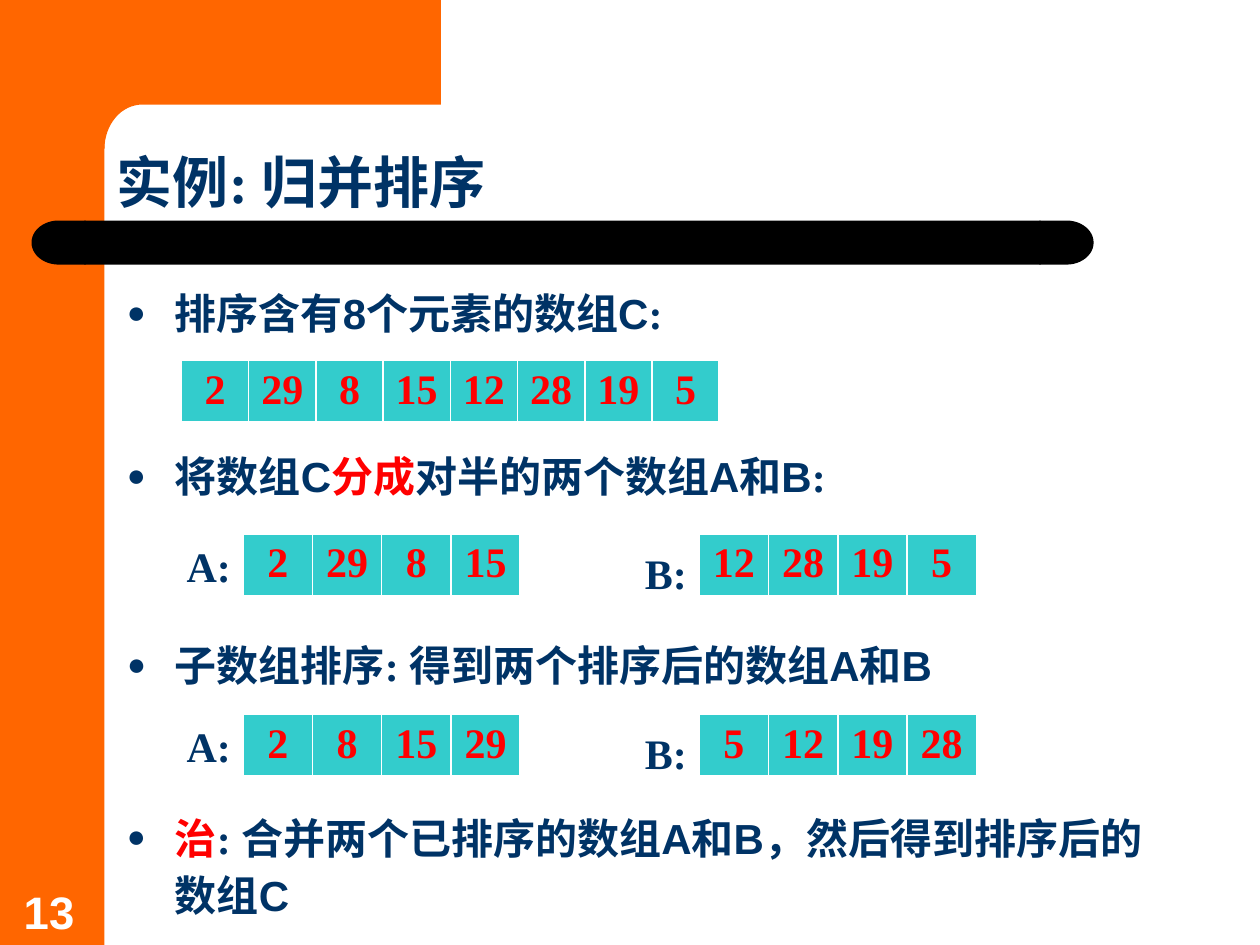
from math import cos, pi, sin

from lxml.etree import SubElement
from pptx import Presentation
from pptx.dml.color import RGBColor
from pptx.enum.shapes import MSO_SHAPE
from pptx.enum.text import MSO_ANCHOR, PP_ALIGN
from pptx.oxml.ns import qn
from pptx.util import Inches, Pt

ORANGE, BLACK, WHITE = "FF6600", "000000", "FFFFFF"
NAVY, RED, TEAL = "003366", "FF0000", "33CCCC"
SERIF, SANS = "Times New Roman", "Arial"


def color(value):
    return RGBColor.from_string(value)


def paint(shape, fill):
    shape.shadow.inherit = False
    shape.fill.solid()
    shape.fill.fore_color.rgb = color(fill)
    shape.line.fill.background()


def add_block(page, kind, left, top, width, height, fill):
    block = page.shapes.add_shape(
        kind, Inches(left), Inches(top), Inches(width), Inches(height))
    paint(block, fill)
    return block


def add_box(page, left, top, width, height, anchor=MSO_ANCHOR.TOP):
    frame = page.shapes.add_textbox(
        Inches(left), Inches(top), Inches(width), Inches(height)).text_frame
    frame.word_wrap = True
    frame.vertical_anchor = anchor
    return frame


def style(para, size=24, name=SERIF, fill=NAVY):
    font = para.font
    font.size, font.name, font.bold = Pt(size), name, True
    font.color.rgb = color(fill)


def add_corner(page, left, top, width, height):
    """Side band, and top block with a rounded inner corner."""
    band = 0.83
    add_block(page, MSO_SHAPE.RECTANGLE, left, top, band, height, ORANGE)
    radius_x, radius_y = 0.3, 0.35
    steps = [pi / 2 * i / 16 for i in range(17)]
    arc = [(left + band + radius_x * (1 - sin(a)),
            top + band + radius_y * (1 - cos(a))) for a in steps]
    bottom = top + band + radius_y
    points = [(left + width, top), (left + width, top + band), *arc,
              (left + 0.5, bottom), (left + 0.5, top)]
    points = [(Inches(x), Inches(y)) for x, y in points]
    builder = page.shapes.build_freeform(*points[0])
    builder.add_line_segments(points[1:], close=True)
    paint(builder.convert_to_shape(), ORANGE)


def add_bar(page, left, top, width, height):
    """Black bar with a round cap at each end."""
    cap = 0.43
    add_block(page, MSO_SHAPE.RECTANGLE, left + cap - 0.01, top,
              width - 2 * cap + 0.02, height, BLACK)
    start = add_block(page, MSO_SHAPE.FLOWCHART_DELAY, left, top, cap, height, BLACK)
    start.rotation = 180
    add_block(page, MSO_SHAPE.FLOWCHART_DELAY, left + width - cap, top,
              cap, height, BLACK)


def add_line_of_text(page, left, top, width, height, text, size, name, fill):
    para = add_box(page, left, top, width, height, MSO_ANCHOR.BOTTOM).paragraphs[0]
    para.text = text
    style(para, size, name, fill)


def add_bullets(page, left, top, width, height, items):
    """Each item is a list of (text, font, colour) spans."""
    frame = add_box(page, left, top, width, height)
    for index, spans in enumerate(items):
        para = frame.add_paragraph() if index else frame.paragraphs[0]
        para.line_spacing = 1.14
        if index:
            para.space_before = Pt(60)
        style(para)
        properties = para._p.get_or_add_pPr()
        properties.set("marL", str(Inches(0.38)))
        properties.set("indent", str(Inches(-0.38)))
        # Bullet parts stand before the paragraph's default font
        marks = [SubElement(properties, qn("a:buClr")),
                 SubElement(properties, qn("a:buSzPct"), val="75000"),
                 SubElement(properties, qn("a:buFont"), typeface=SERIF),
                 SubElement(properties, qn("a:buChar"), char="●")]
        SubElement(marks[0], qn("a:srgbClr"), val=NAVY)
        default = properties.find(qn("a:defRPr"))
        for mark in marks:
            default.addprevious(mark)
        for text, name, fill in spans:
            span = para.add_run()
            span.text = text
            span.font.name = name
            span.font.color.rgb = color(fill)


def add_border(cell):
    for side, points in (("L", 1), ("R", 1), ("T", 1), ("B", 3)):
        line = SubElement(cell._tc.get_or_add_tcPr(), qn(f"a:ln{side}"),
                          w=str(Pt(points)))
        solid = SubElement(line, qn("a:solidFill"))
        SubElement(solid, qn("a:srgbClr"), val=WHITE)


def add_array(page, left, top, width, height, values):
    table = page.shapes.add_table(
        1, len(values), Inches(left), Inches(top), Inches(width), Inches(height)).table
    table.first_row = table.horz_banding = False
    for column, value in enumerate(values):
        table.columns[column].width = Inches(width / len(values))
        cell = table.cell(0, column)
        add_border(cell)
        cell.fill.solid()
        cell.fill.fore_color.rgb = color(TEAL)
        cell.margin_left = cell.margin_right = Inches(0.05)
        para = cell.text_frame.paragraphs[0]
        para.text = str(value)
        para.alignment = PP_ALIGN.CENTER
        style(para, fill=RED)


def add_named_array(page, left, top, width, height, name, values, spacing):
    label = 0.62
    para = add_box(page, left, top, label, height).paragraphs[0]
    para.text = name
    para.alignment = PP_ALIGN.RIGHT
    para.line_spacing = spacing
    style(para)
    add_array(page, left + label, top, width - label, height, values)


def add_halves(page, left, top, width, height, first, second):
    part = 2.82
    add_named_array(page, left, top, part, height, "A:", first, 1.0)
    add_named_array(page, left + width - part, top, part, height, "B:", second, 1.14)


def main():
    deck = Presentation()
    deck.slide_width, deck.slide_height = Inches(10), Inches(7.5)
    page = deck.slides.add_slide(deck.slide_layouts[6])

    # Frame and title
    add_corner(page, 0, 0, 3.5, 7.5)
    add_bar(page, 0.25, 1.75, 8.43, 0.35)
    add_line_of_text(page, 0.83, 0.83, 8.73, 0.92, "实例: 归并排序", 32, SERIF, NAVY)

    # Whole array and its split
    add_bullets(page, 0.91, 2.18, 7.87, 1.86, [
        [("排序含有", SERIF, NAVY), ("8个元素的数组C", SANS, NAVY), (":", SERIF, NAVY)],
        [("将数组", SERIF, NAVY), ("C", SANS, NAVY), ("分成", SANS, RED),
         ("对半的两个数组A和B", SANS, NAVY), (":", SERIF, NAVY)],
    ])
    numbers = [2, 29, 8, 15, 12, 28, 19, 5]
    first, second = numbers[:4], numbers[4:]
    add_array(page, 1.44, 2.86, 4.27, 0.5, numbers)
    add_halves(page, 1.31, 4.24, 6.44, 0.5, first, second)

    # Sorted halves
    add_bullets(page, 0.91, 4.97, 7.95, 0.56, [
        [("子数组排序: 得到两个排序后的数组", SERIF, NAVY), ("A和B", SANS, NAVY)],
    ])
    add_halves(page, 1.31, 5.67, 6.44, 0.5, sorted(first), sorted(second))

    # Merge step and page number
    add_bullets(page, 0.91, 6.34, 8.27, 1.02, [
        [("治", SERIF, RED), (": 合并两个已排序的数组", SERIF, NAVY),
         ("A和B，然后得到排序后的数组C", SANS, NAVY)],
    ])
    add_line_of_text(page, 0.09, 6.97, 0.64, 0.53, "13", 26, SANS, WHITE)

    deck.save("out.pptx")


if __name__ == "__main__":
    main()
